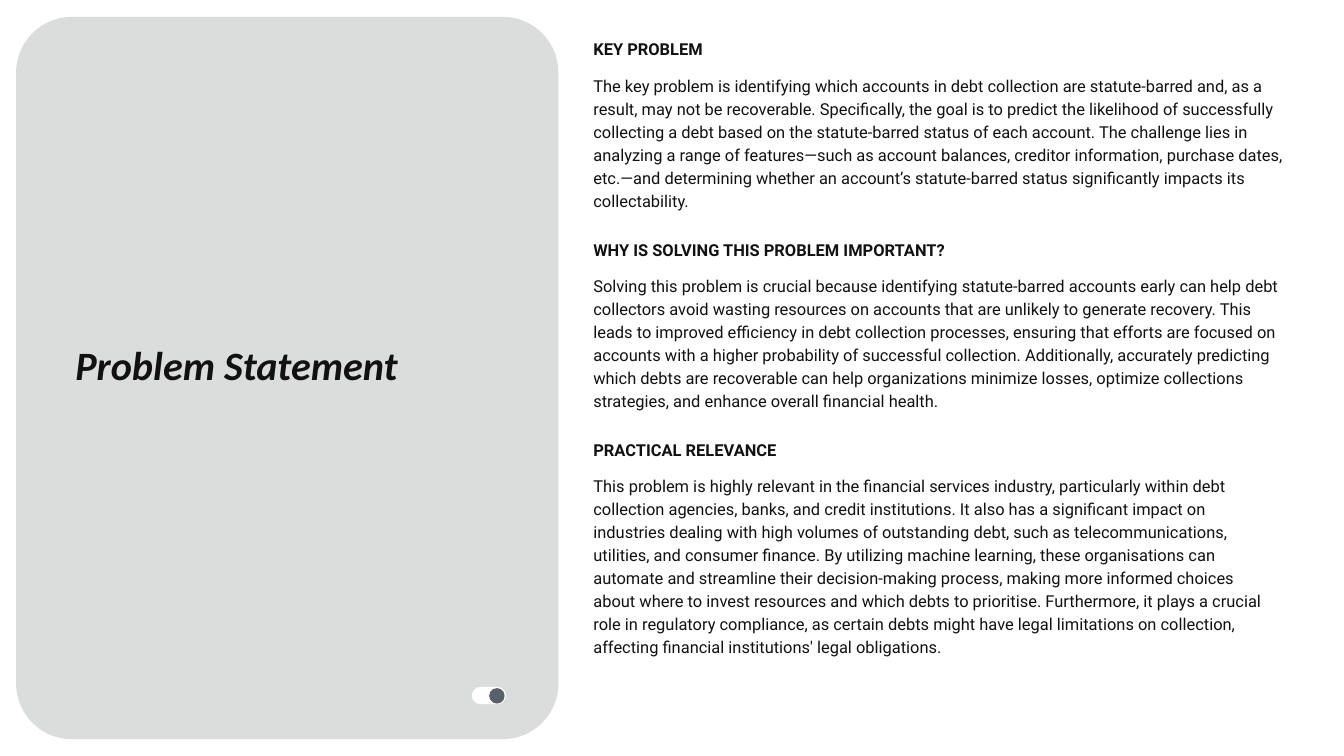
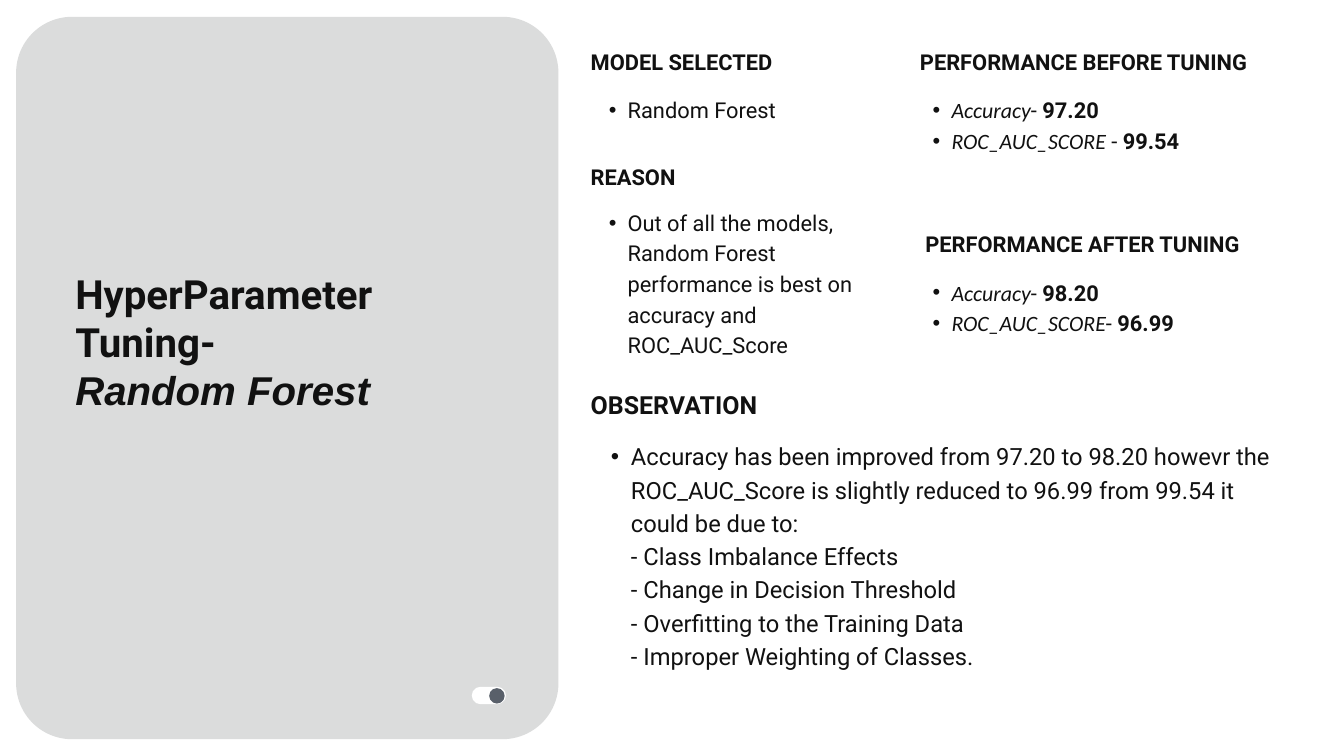
from pptx import Presentation
from pptx.dml.color import RGBColor
from pptx.enum.shapes import MSO_SHAPE as Shape
from pptx.enum.text import MSO_ANCHOR as Anchor, MSO_AUTO_SIZE as AutoSize, PP_ALIGN as Align
from pptx.oxml.ns import qn
from pptx.util import Inches, Pt
from lxml.etree import SubElement

INK, PANEL, WHITE, KNOB = "111111", "DBDCDC", "FFFFFF", "59606A"
BODY_FONT, ACCENT_FONT = "Roboto", "Calibri"
TITLE_SIZE, TEXT_SIZE, METRIC_SIZE = 43.1, 17.6, 23.4
TITLE_LEADING, TEXT_LEADING = 1.2, 1.4
BOLD = {"bold": True}
ITALIC = {"name": ACCENT_FONT, "italic": True}

PROBLEM_SECTIONS = [
    ("KEY PROBLEM", 10.37, 1.97,
     "The key problem is identifying which accounts in debt collection are statute-barred and, "
     "as a result, may not be recoverable. Specifically, the goal is to predict the likelihood of "
     "successfully collecting a debt based on the statute-barred status of each account. The "
     "challenge lies in analyzing a range of features—such as account balances, creditor "
     "information, purchase dates, etc.—and determining whether an account’s statute-barred "
     "status significantly impacts its collectability."),
    ("WHY IS SOLVING THIS PROBLEM IMPORTANT?", 10.37, 1.97,
     "Solving this problem is crucial because identifying statute-barred accounts early can help "
     "debt collectors avoid wasting resources on accounts that are unlikely to generate recovery. "
     "This leads to improved efficiency in debt collection processes, ensuring that efforts are "
     "focused on accounts with a higher probability of successful collection. Additionally, "
     "accurately predicting which debts are recoverable can help organizations minimize losses, "
     "optimize collections strategies, and enhance overall financial health."),
    ("PRACTICAL RELEVANCE", 10.22, 3.31,
     "This problem is highly relevant in the financial services industry, particularly within "
     "debt collection agencies, banks, and credit institutions. It also has a significant impact "
     "on industries dealing with high volumes of outstanding debt, such as telecommunications, "
     "utilities, and consumer finance. By utilizing machine learning, these organisations can "
     "automate and streamline their decision-making process, making more informed choices about "
     "where to invest resources and which debts to prioritise. Furthermore, it plays a crucial "
     "role in regulatory compliance, as certain debts might have legal limitations on collection, "
     "affecting financial institutions' legal obligations."),
]

OBSERVATION = ("Accuracy has been improved from 97.20 to 98.20 howevr the ROC_AUC_Score is "
               "slightly reduced to 96.99 from 99.54 it could be due to:")
CAUSES = ["- Class Imbalance Effects", "- Change in Decision Threshold",
          "- Overfitting to the Training Data", "- Improper Weighting of Classes."]


def color(value):
    return RGBColor.from_string(value)


def place(shape, left, top, width, height):
    box = {"left": left, "top": top, "width": width, "height": height}
    for name, value in box.items():
        setattr(shape, name, Inches(value))


def add_filled(slide, kind, box, fill, corner=None):
    shape = slide.shapes.add_shape(kind, *[Inches(value) for value in box])
    shape.shadow.inherit = False
    shape.fill.solid()
    shape.fill.fore_color.rgb = color(fill)
    shape.line.fill.background()
    if corner is not None:
        shape.adjustments[0] = corner


def indent(paragraph, left, hanging=0):
    """Indent a paragraph; a hanging indent gets a bullet."""
    properties = paragraph._p.get_or_add_pPr()
    properties.set("marL", str(Inches(left)))
    properties.set("indent", str(-Inches(hanging)))
    if hanging:
        SubElement(properties, qn("a:buFont"), typeface="Arial")
        SubElement(properties, qn("a:buChar"), char="•")


def write_runs(paragraph, runs, size, leading):
    """Write (text, format) pairs with exact line spacing."""
    paragraph.line_spacing = Pt(round(size * leading, 1))
    for text, changes in runs:
        run = paragraph.add_run()
        run.text = text
        formats = {"name": BODY_FONT, "size": Pt(size), "bold": False, "italic": False, **changes}
        for name, value in formats.items():
            setattr(run.font, name, value)
        run.font.color.rgb = color(INK)


def prepare_frame(shape):
    frame = shape.text_frame
    settings = {"margin_left": 0, "margin_top": 0, "margin_right": 0, "margin_bottom": 0,
                "word_wrap": True, "auto_size": AutoSize.NONE, "vertical_anchor": Anchor.TOP}
    for name, value in settings.items():
        setattr(frame, name, value)
    return frame


def paragraphs_of(frame, count):
    return [frame.paragraphs[0]] + [frame.add_paragraph() for _ in range(count - 1)]


def add_text(slide, box, lines, size, indents=None, align=Align.LEFT):
    """Each line is a list of runs; indents holds (left, hanging) per line."""
    shape = slide.shapes.add_textbox(*[Inches(value) for value in box])
    paragraphs = paragraphs_of(prepare_frame(shape), len(lines))
    for index, (paragraph, runs) in enumerate(zip(paragraphs, lines)):
        if indents:
            indent(paragraph, *indents[index])
        paragraph.alignment = align
        write_runs(paragraph, runs, size, TEXT_LEADING)


def add_heading(slide, left, top, width, text, size):
    add_text(slide, (left, top, width, round(size * 0.0175, 2)), [[(text, BOLD)]], size)


def add_bullets(slide, box, lines, align=Align.LEFT):
    add_text(slide, box, lines, METRIC_SIZE, [(0.55, 0.28)] * len(lines), align)


def add_metrics(slide, top, heading_left, heading, scores):
    """Heading with one bullet for each (name, dash, value)."""
    add_heading(slide, heading_left, top, 5.33, heading, METRIC_SIZE)
    lines = [[(name, ITALIC), (dash, {}), (value, BOLD)] for name, dash, value in scores]
    add_bullets(slide, (13.61, top + 0.72, 5.4, 0.86), lines, Align.JUSTIFY)


def add_panel_slide(presentation, title_box, title_lines):
    """Slide with the rounded side panel, toggle and title."""
    slide = presentation.slides.add_slide(presentation.slide_layouts[5])
    add_filled(slide, Shape.ROUNDED_RECTANGLE, (0.24, 0.25, 8.07, 10.75), PANEL, 0.103)
    add_filled(slide, Shape.ROUNDED_RECTANGLE, (7.02, 10.22, 0.51, 0.26), WHITE, 0.5)
    add_filled(slide, Shape.OVAL, (7.28, 10.24, 0.23, 0.23), KNOB)

    title = slide.shapes.title
    place(title, *title_box)
    paragraphs = paragraphs_of(prepare_frame(title), len(title_lines))
    for paragraph, (text, changes) in zip(paragraphs, title_lines):
        paragraph.alignment = Align.LEFT
        write_runs(paragraph, [(text, {**BOLD, **changes})], TITLE_SIZE, TITLE_LEADING)
    # Bring the title in front of the panel
    title.element.getparent().append(title.element)
    return slide


def build_problem(presentation):
    slide = add_panel_slide(presentation, (1.12, 5.07, 6.41, 0.7),
                            [("Problem Statement", ITALIC)])
    for index, (heading, width, height, text) in enumerate(PROBLEM_SECTIONS):
        top = 0.54 + 2.98 * index
        add_heading(slide, 8.83, top, width, heading, TEXT_SIZE)
        add_text(slide, (8.83, top + 0.54, width, height), [[(text, {})]], TEXT_SIZE)


def build_tuning(presentation):
    slide = add_panel_slide(presentation, (1.12, 4, 6.29, 2.11),
                            [("HyperParameter Tuning-", {}),
                             ("Random Forest", {"name": "Arial", "italic": True})])
    # Model and reason
    left = 8.79
    add_heading(slide, left, 0.66, 4.53, "MODEL SELECTED", METRIC_SIZE)
    add_bullets(slide, (left, 1.38, 4.53, 0.41), [[("Random Forest", {})]], Align.JUSTIFY)
    add_heading(slide, left, 2.37, 4.53, "REASON", METRIC_SIZE)
    reason = "Out of all the models, Random Forest performance is best on accuracy and ROC_AUC_Score"
    add_bullets(slide, (left, 3.05, 4.53, 2.22), [[(reason, {})]])

    # Scores
    add_metrics(slide, 0.66, 13.69, "PERFORMANCE BEFORE TUNING",
                [("Accuracy", "- ", "97.20"), ("ROC_AUC_SCORE", " - ", "99.54")])
    add_metrics(slide, 3.37, 13.77, "PERFORMANCE AFTER TUNING",
                [("Accuracy", "- ", "98.20"), ("ROC_AUC_SCORE", "- ", "96.99")])

    # Observation
    add_heading(slide, left, 5.72, 10.37, "OBSERVATION", 26.7)
    lines = [[(text, {})] for text in [OBSERVATION] + CAUSES]
    add_text(slide, (left, 6.51, 10.37, 3.84), lines, 25.4,
             [(0.6, 0.3)] + [(0.6, 0)] * len(CAUSES))


def main():
    presentation = Presentation()
    presentation.slide_width = Inches(20)
    presentation.slide_height = Inches(11.25)
    build_problem(presentation)
    build_tuning(presentation)
    presentation.save("out.pptx")


if __name__ == "__main__":
    main()
